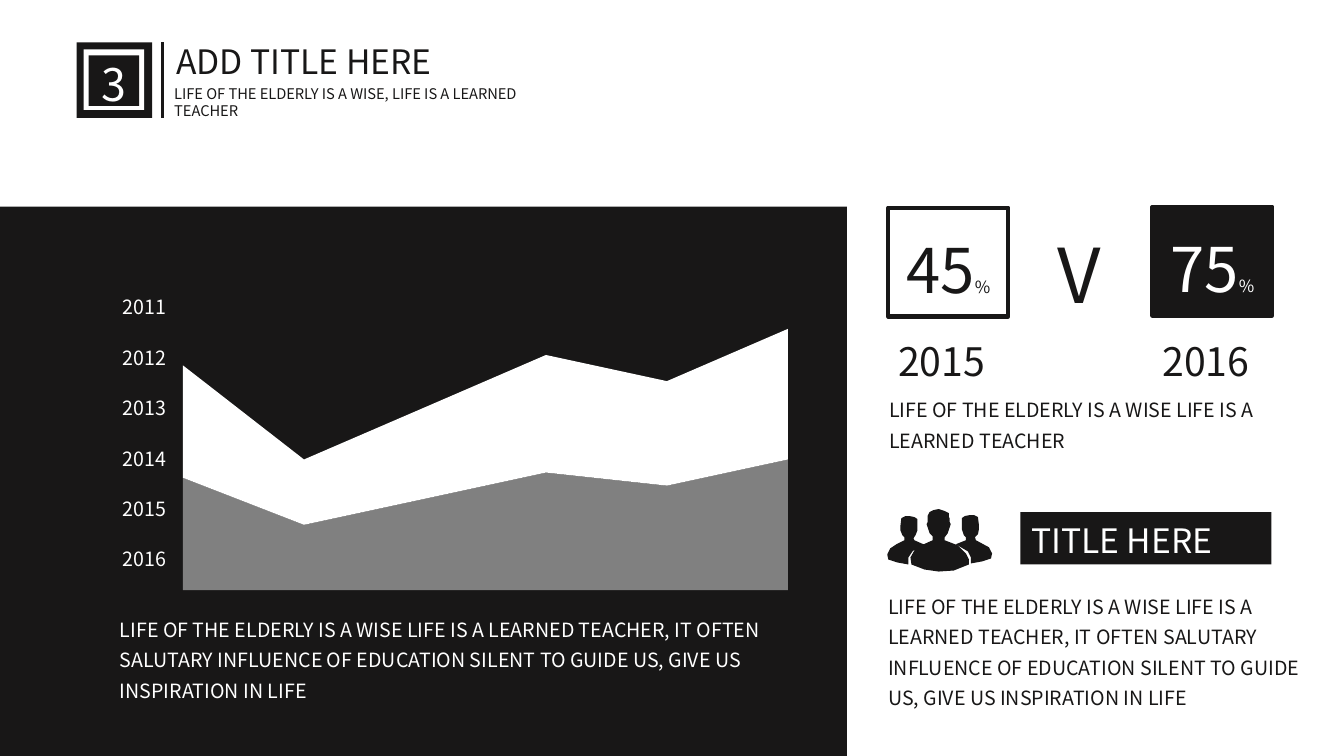
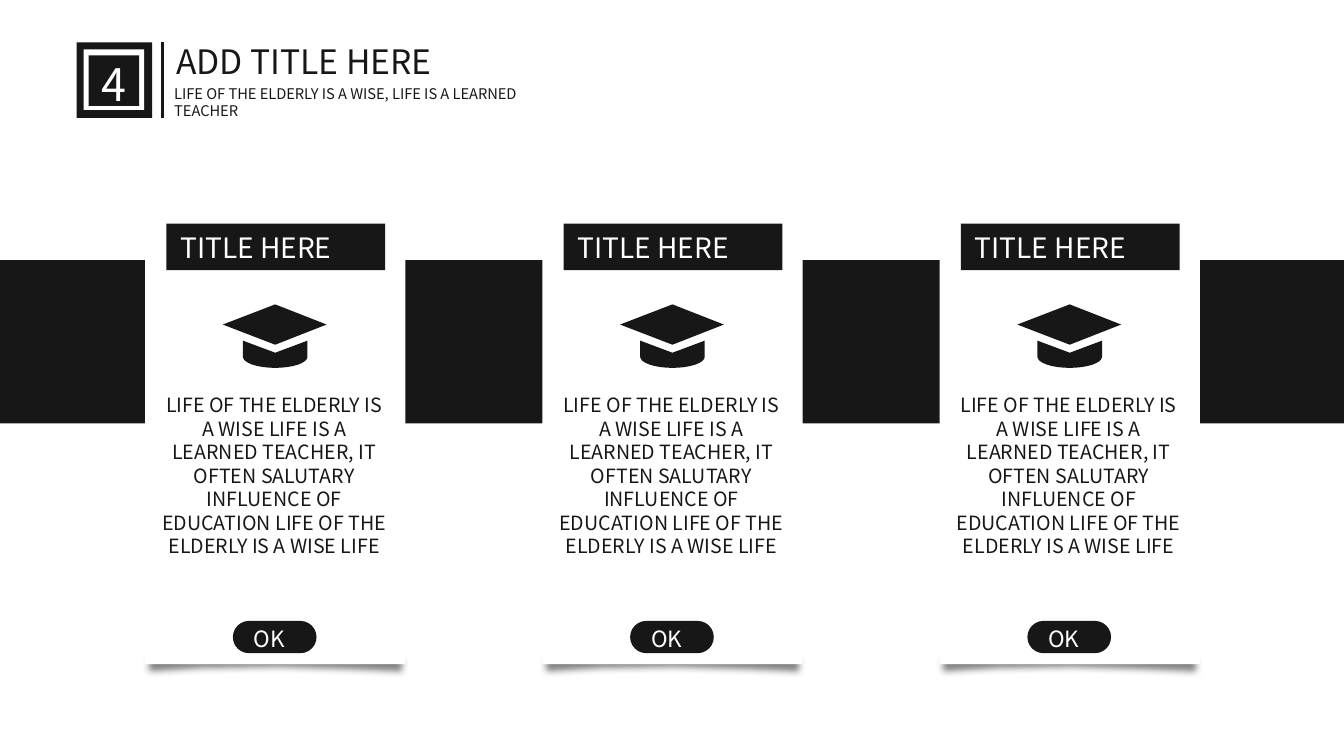
"""Build two monochrome slides: a yearly area chart and a row of three cards."""
from math import cos, pi, sin

from lxml.etree import SubElement
from pptx import Presentation
from pptx.chart.data import CategoryChartData
from pptx.dml.color import RGBColor as RGB
from pptx.enum.chart import XL_CHART_TYPE as CHART
from pptx.enum.shapes import MSO_CONNECTOR as LINE, MSO_SHAPE as SHAPE
from pptx.enum.text import PP_ALIGN as ALIGN
from pptx.oxml.ns import qn
from pptx.util import Inches, Pt


class Theme:
    font = "Noto Sans CJK SC"
    ink = RGB(0x18, 0x17, 0x17)
    white = RGB(0xFF, 0xFF, 0xFF)
    gray = RGB(0x80, 0x80, 0x80)
    tiny, note, unit, body, pill = 10.5, 10, 12, 14, 16
    card, title, year, badge, rate, versus = 20, 24, 28, 32, 44, 54


def draw(slide, form, fill, at=None, line=None):
    """Add a preset shape, or an outline when form is a list of points."""
    if isinstance(form, list):
        spots = [(Inches(x), Inches(y)) for x, y in form]
        pen = slide.shapes.build_freeform(*spots[0])
        pen.add_line_segments(spots[1:], close=True)
        shape = pen.convert_to_shape()
    else:
        shape = slide.shapes.add_shape(form, *map(Inches, at))
    shape.shadow.inherit = False
    shape.fill.solid()
    shape.fill.fore_color.rgb = fill
    if line:
        shape.line.color.rgb = Theme.ink
        shape.line.width = Pt(line)
    else:
        shape.line.fill.background()
    return shape


def write(slide, words, at, size, color=Theme.ink, align=ALIGN.LEFT, gap=None):
    """Add a text box with one paragraph and return the paragraph."""
    frame = slide.shapes.add_textbox(*map(Inches, at)).text_frame
    frame.word_wrap = True
    para = frame.paragraphs[0]
    para.text = words
    para.alignment = align
    if gap:
        para.line_spacing = gap
    para.font.name = Theme.font
    para.font.size = Pt(size)
    para.font.color.rgb = color
    return para


deck = Presentation()
deck.slide_width, deck.slide_height = Inches(13.33), Inches(7.5)
blank = deck.slide_layouts[6]
stats, cards = deck.slides.add_slide(blank), deck.slides.add_slide(blank)

draw(stats, SHAPE.RECTANGLE, Theme.ink, (0, 2.05, 8.4, 5.45))
draw(cards, SHAPE.RECTANGLE, Theme.ink, (0, 2.58, 13.33, 1.62))

for slide, number in ((stats, "3"), (cards, "4")):
    for left, top, side, fill in (
        (0.76, 0.42, 0.75, Theme.ink),
        (0.83, 0.49, 0.6, Theme.white),
        (0.88, 0.55, 0.5, Theme.ink),
    ):
        draw(slide, SHAPE.RECTANGLE, fill, (left, top, side, side))
    write(slide, number, (0.85, 0.51, 0.57, 0.64), Theme.badge, Theme.white, ALIGN.CENTER)
    write(slide, "ADD TITLE HERE", (1.65, 0.36, 3.41, 0.5), Theme.title)
    write(slide, "LIFE OF THE ELDERLY IS A WISE, LIFE IS A LEARNED TEACHER",
          (1.63, 0.79, 3.97, 0.45), Theme.tiny)
    rule = slide.shapes.add_connector(
        LINE.STRAIGHT, Inches(1.61), Inches(0.42), Inches(1.61), Inches(1.17))
    rule.line.color.rgb = Theme.ink
    rule.line.width = Pt(2.25)
    SubElement(rule._element.spPr, qn("a:effectLst"))

values = (86, 50, 70, 90, 80, 100)
data = CategoryChartData()
data.categories = [str(n + 1) for n in range(len(values))]
for name in ("Series 1", "Series 2"):
    data.add_series(name, values)
chart = stats.shapes.add_chart(
    CHART.AREA_STACKED, *map(Inches, (1.69, 2.68, 6.25, 3.24)), data).chart
chart.has_legend = False
chart.has_title = False
chart.font.name = Theme.font
chart.font.size = Pt(Theme.note)
chart.plots[0].vary_by_categories = False
chart.category_axis.visible = False
axis = chart.value_axis
axis.visible = False
axis.has_major_gridlines = False
axis.minimum_scale, axis.maximum_scale = 0, 240
for cross in axis._element.findall(qn("c:crossBetween")):
    cross.set("val", "midCat")
for series, color in zip(chart.plots[0].series, (Theme.gray, Theme.white)):
    series.format.fill.solid()
    series.format.fill.fore_color.rgb = color

for row in range(6):
    write(stats, str(2011 + row), (1.12, 2.88 + row * 0.5, 0.72, 0.34), Theme.body, Theme.white)

short = "LIFE OF THE ELDERLY IS A WISE LIFE IS A LEARNED TEACHER"
story = short + ", IT OFTEN SALUTARY INFLUENCE OF EDUCATION SILENT TO GUIDE US, GIVE US INSPIRATION IN LIFE"
write(stats, story, (1.09, 6.01, 7.06, 1.02), Theme.body, Theme.white, gap=1.3)
write(stats, short, (8.72, 3.83, 4.42, 0.71), Theme.body, gap=1.3)
write(stats, story, (8.71, 5.78, 4.42, 1.33), Theme.body, gap=1.3)

for left, top, rate, year, fill, color in (
    (8.81, 2.06, "45", "2015", Theme.white, Theme.ink),
    (11.43, 2.05, "75", "2016", Theme.ink, Theme.white),
):
    draw(stats, SHAPE.RECTANGLE, fill, (left, top, 1.19, 1.08), 3)
    para = write(stats, rate, (left - 0.51, top + 0.19, 2.21, 0.84),
                 Theme.rate, color, ALIGN.CENTER)
    unit = para.add_run()
    unit.text = "%"
    unit.font.size = Pt(Theme.unit)
    write(stats, year, (left, 3.3, 1.22, 0.57), Theme.year)
write(stats, "V", (9.6, 2.21, 2.21, 1.01), Theme.versus, align=ALIGN.CENTER)

crowd = [
    (9.37, 5.36), (9.37, 5.33), (9.4, 5.29), (9.42, 5.23), (9.43, 5.2), (9.42, 5.18),
    (9.42, 5.14), (9.41, 5.13), (9.41, 5.09), (9.37, 5.07), (9.31, 5.05), (9.26, 5.06),
    (9.22, 5.08), (9.2, 5.12), (9.2, 5.18), (9.19, 5.2), (9.2, 5.23), (9.22, 5.29),
    (9.25, 5.32), (9.25, 5.36), (9.16, 5.4), (9.07, 5.36), (9.06, 5.34), (9.08, 5.31),
    (9.1, 5.26), (9.1, 5.15), (9.07, 5.13), (9.02, 5.12), (8.98, 5.12), (8.94, 5.14),
    (8.93, 5.22), (8.93, 5.26), (8.95, 5.31), (8.97, 5.33), (8.97, 5.36), (8.89, 5.4),
    (8.83, 5.44), (8.8, 5.5), (8.81, 5.55), (8.9, 5.58), (9.01, 5.6), (9.01, 5.53),
    (9.05, 5.47), (9.09, 5.44), (9.07, 5.46), (9.03, 5.53), (9.04, 5.6), (9.17, 5.65),
    (9.31, 5.67), (9.46, 5.66), (9.61, 5.6), (9.61, 5.55), (9.58, 5.49), (9.5, 5.41),
]
guest = [
    (9.81, 5.43), (9.68, 5.36), (9.67, 5.33), (9.7, 5.3), (9.71, 5.25), (9.71, 5.21),
    (9.7, 5.13), (9.66, 5.11), (9.62, 5.11), (9.57, 5.12), (9.54, 5.14), (9.54, 5.25),
    (9.56, 5.31), (9.58, 5.33), (9.58, 5.36), (9.48, 5.4), (9.6, 5.47), (9.63, 5.53),
    (9.63, 5.59), (9.74, 5.57), (9.83, 5.54), (9.84, 5.49),
]
for form in (crowd, guest):
    draw(stats, form, Theme.ink)
draw(stats, SHAPE.RECTANGLE, Theme.ink, (10.12, 5.08, 2.49, 0.52))
write(stats, "TITLE HERE", (10.13, 5.11, 2.47, 0.5), Theme.title, Theme.white)

lesson = short + ", IT OFTEN SALUTARY INFLUENCE OF EDUCATION LIFE OF THE ELDERLY IS A WISE LIFE"
for col in range(3):
    left = 1.41 + col * 3.94
    mid = left + 1.32
    shade = draw(cards, [
        (left, 6.47), (left + 2.64, 6.47), (left + 2.64, 6.73), (left + 1.98, 6.7),
        (mid, 6.68), (left + 0.66, 6.69), (left, 6.73),
    ], Theme.gray)
    glow = shade._element.spPr.find(qn("a:effectLst"))
    SubElement(glow, qn("a:softEdge"), rad=str(Inches(0.07)))
    draw(cards, SHAPE.RECTANGLE, Theme.white, (left + 0.03, 1.99, 2.58, 4.6))
    draw(cards, SHAPE.RECTANGLE, Theme.ink, (left + 0.24, 2.22, 2.17, 0.46))
    write(cards, "TITLE HERE", (left + 0.28, 2.24, 2.09, 0.44), Theme.card, Theme.white)
    write(cards, lesson, (left + 0.08, 3.85, 2.46, 1.99), Theme.body, align=ALIGN.CENTER)
    draw(cards, [(mid + 0.51, 3.22), (mid, 3.02), (mid - 0.52, 3.22), (mid, 3.42)], Theme.ink)
    bowl = [(mid - 0.32 * cos(pi * n / 16), 3.54 + 0.11 * sin(pi * n / 16)) for n in range(17)]
    draw(cards, [(mid, 3.5), (mid - 0.32, 3.38), *bowl, (mid + 0.32, 3.38)], Theme.ink)
    pill = draw(cards, SHAPE.ROUNDED_RECTANGLE, Theme.ink, (left + 0.9, 6.16, 0.83, 0.32))
    pill.adjustments[0] = 0.5
    write(cards, "OK", (left + 1.01, 6.15, 0.58, 0.37), Theme.pill, Theme.white)

deck.save("out.pptx")
